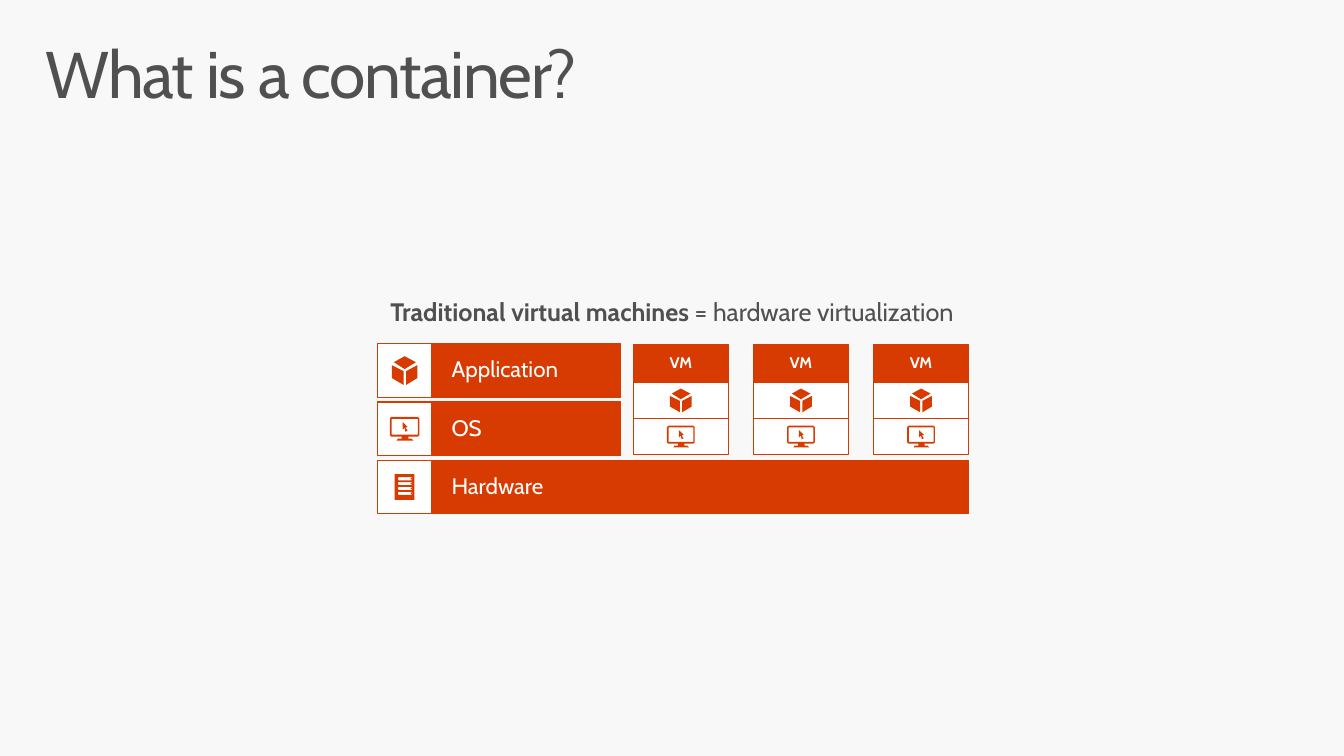
from pptx import Presentation
from pptx.dml.color import RGBColor as RGB
from pptx.enum.shapes import MSO_SHAPE as SHAPE
from pptx.enum.text import MSO_ANCHOR as ANCHOR, MSO_AUTO_SIZE as AUTO, PP_ALIGN as ALIGN
from pptx.util import Pt

COLORS = {"back": "F8F8F8", "text": "505050", "accent": "D83B01", "white": "FFFFFF"}
FONT = "Cabin"
SLOT = [(0.2, 0), (0.85, 0), (0.9, 0.06), (0.85, 0.12), (0.2, 0.12), (0.15, 0.06)]
ICONS = {
    "cube": [
        [[(0.46, 0.52), (0.46, 1), (0, 0.76), (0, 0.31)]],
        [[(0.56, 0.52), (0.56, 1), (1, 0.76), (1, 0.31)]],
        [[(0.5, 0.45), (0.08, 0.21), (0.5, 0), (0.94, 0.21)]],
    ],
    "monitor": [
        [
            [(0.05, 0), (0.95, 0), (1, 0.07), (1, 0.77), (0.95, 0.83), (0.63, 0.83),
             (0.63, 0.92), (0.73, 0.92), (0.8, 1), (0.23, 1), (0.27, 0.92), (0.4, 0.92),
             (0.4, 0.83), (0.05, 0.83), (0, 0.77), (0, 0.07)],
            [(0.06, 0.08), (0.95, 0.08), (0.95, 0.75), (0.06, 0.75)],
        ],
        [[(0.43, 0.21), (0.6, 0.42), (0.53, 0.46), (0.6, 0.58),
          (0.53, 0.63), (0.5, 0.46), (0.43, 0.54)]],
    ],
    "server": [
        [[(0, 0), (1, 0), (1, 1), (0, 1)]]
        + [[(x, y + 0.12 + 0.19 * i) for x, y in SLOT] for i in range(4)],
    ],
}


def apply(obj, fmt):
    """Set the attributes of an object from a dict."""
    for name, value in fmt.items():
        setattr(obj, name, value)


def fill(sp, color, line=None):
    """Give a shape a flat fill and an optional outline."""
    sp.shadow.inherit = False
    sp.fill.solid()
    sp.fill.fore_color.rgb = RGB.from_string(COLORS[color])
    if line:
        sp.line.color.rgb = RGB.from_string(COLORS[line])
        sp.line.width = Pt(0.85)
    else:
        sp.line.fill.background()


def write(sp, runs, size, color, insets, anchor=ANCHOR.TOP, align=ALIGN.LEFT, after=0):
    """Write one paragraph of (text, bold) runs into a shape."""
    tf = sp.text_frame
    sides = ("margin_left", "margin_top", "margin_right", "margin_bottom")
    apply(tf, dict(zip(sides, map(Pt, insets))))
    apply(tf, {"word_wrap": True, "auto_size": AUTO.NONE, "vertical_anchor": anchor})
    p = tf.paragraphs[0]
    apply(p, {"alignment": align, "line_spacing": 0.9, "space_after": Pt(after)})
    for text, bold in runs:
        r = p.add_run()
        r.text = text
        apply(r.font, {"name": FONT, "size": Pt(size), "bold": bold})
        r.font.color.rgb = RGB.from_string(COLORS[color])
    return p


def add_box(s, x, y, w, h, color, shape=SHAPE.RECTANGLE, line="accent"):
    """Add a filled preset shape."""
    sp = s.shapes.add_shape(shape, Pt(x), Pt(y), Pt(w), Pt(h))
    fill(sp, color, line)
    return sp


def add_icon(s, name, x, y, w, h):
    """Draw an icon scaled to the given box."""
    for outline in ICONS[name]:
        paths = [[(Pt(x + u * w), Pt(y + v * h)) for u, v in path] for path in outline]
        first, *holes = paths
        fb = s.shapes.build_freeform(*first[0])
        fb.add_line_segments(first[1:])
        for hole in holes:
            fb.move_to(*hole[0])
            fb.add_line_segments(hole[1:])
        fill(fb.convert_to_shape(), "accent")
    if name == "server":
        for i in range(4):
            dot_y = y + h * (0.15 + 0.19 * i)
            add_box(s, x + 0.8 * w, dot_y, 0.08 * w, 0.06 * h, "accent", SHAPE.OVAL, None)


def add_title(s, x, y, w, h):
    """Place the slide title."""
    sp = s.shapes.title
    apply(sp, {"left": Pt(x), "top": Pt(y), "width": Pt(w), "height": Pt(h)})
    p = write(sp, [("What is a container?", False)], 48, "text", (11.5, 7.2, 11.5, 7.2))
    p.runs[0].font._element.set("spc", "-100")


def add_caption(s, x, y, w, h):
    """Place the centred caption above the diagram."""
    sp = s.shapes.add_textbox(Pt(x), Pt(y), Pt(w), Pt(h))
    runs = [("Traditional virtual machines ", True), ("= hardware virtualization", False)]
    write(sp, runs, 18.4, "text", (14.4, 0, 14.4, 11.5), align=ALIGN.CENTER, after=6.1)


def add_layer(s, x, y, w, h, label, icon, icon_w, icon_h):
    """Draw a layer bar with its icon cell at the left."""
    cell_w = 39.6
    bar = add_box(s, x + cell_w, y, w - cell_w, h, "accent")
    write(bar, [(label, False)], 16.3, "white", (14.4, 11.5, 14.4, 11.5), ANCHOR.MIDDLE)
    add_box(s, x, y, cell_w, h, "white")
    add_icon(s, icon, x + (cell_w - icon_w) / 2, y + (h - icon_h) / 2, icon_w, icon_h)


def add_vm(s, x, y, w, h):
    """Draw a virtual machine with its application and OS cells."""
    head_h = 27.4
    cell_h = (h - head_h) / 2
    for i, (icon, icon_w, icon_h) in enumerate([("cube", 15.8, 17.3), ("monitor", 20.2, 15.8)]):
        cell_y = y + head_h + i * cell_h
        add_box(s, x, cell_y, w, cell_h, "white")
        add_icon(s, icon, x + (w - icon_w) / 2, cell_y + (cell_h - icon_h) / 2, icon_w, icon_h)
    head = add_box(s, x, y, w, head_h, "accent")
    write(head, [("VM", True)], 11.2, "white", (3.6,) * 4, ANCHOR.MIDDLE, ALIGN.CENTER, 6.1)


def add_diagram(s, x, y, w):
    """Stack the layers and set the virtual machines on the hardware."""
    layers = [
        ("Application", 177.1, "cube", 18.7, 20.9),
        ("OS", 177.1, "monitor", 21.6, 17.3),
        ("Hardware", w, "server", 14.4, 18.7),
    ]
    for i, (label, layer_w, *icon) in enumerate(layers):
        add_layer(s, x, y + 42.4 * i, layer_w, 39, label, *icon)
    vm_w, pitch = 69.1, 87.5
    for i in range(3):
        add_vm(s, x + w - vm_w - pitch * (2 - i), y + 0.7, vm_w, 80)


def main():
    """Build and save the slide."""
    prs = Presentation()
    apply(prs, {"slide_width": Pt(979.2), "slide_height": Pt(550.8)})
    s = prs.slides.add_slide(prs.slide_layouts[5])
    s.background.fill.solid()
    s.background.fill.fore_color.rgb = RGB.from_string(COLORS["back"])
    add_title(s, 21.6, 23, 936, 72)
    add_caption(s, 0, 218.2, 979.2, 31.7)
    add_diagram(s, 275, 250.5, 430.6)
    prs.save("out.pptx")


if __name__ == "__main__":
    main()
